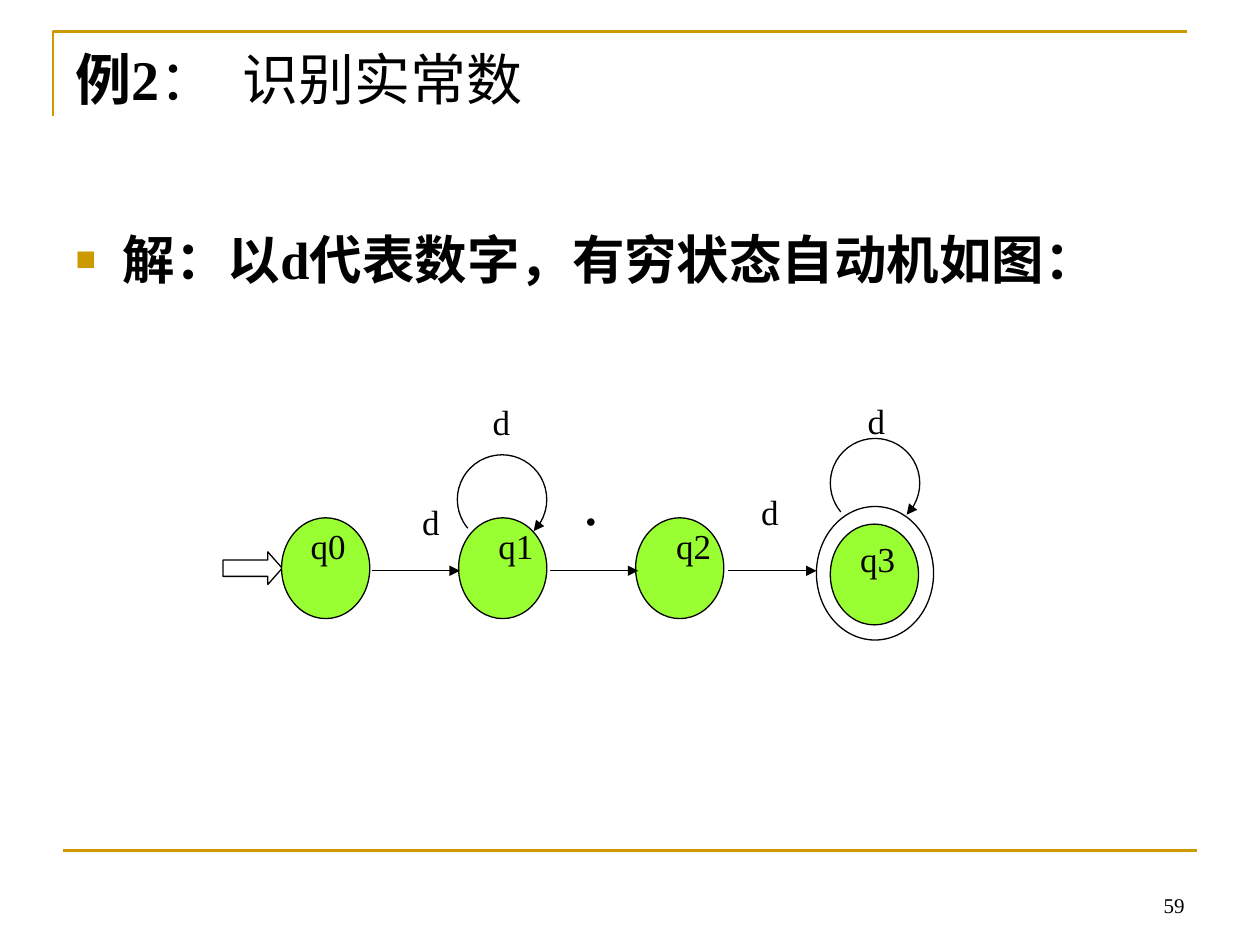
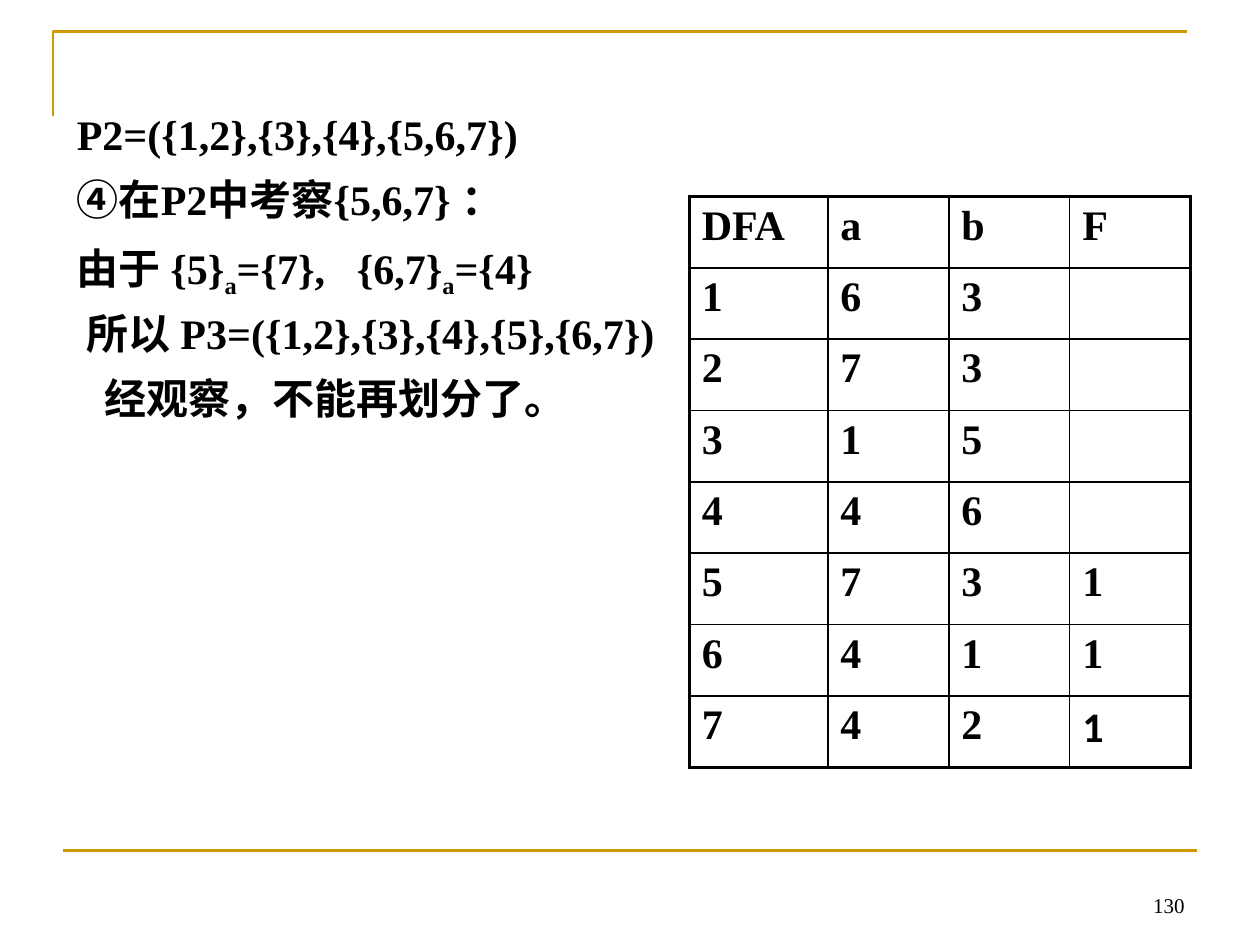
import dataclasses

import pptx
import pptx.dml.color
import pptx.enum.shapes
import pptx.enum.text
import pptx.oxml
import pptx.oxml.ns
import pptx.util

COLORS = {"ink": "000000", "gold": "CC9900", "state": "99FF33", "paper": "FFFFFF"}
FONT = "Times New Roman"
SHAPE = pptx.enum.shapes.MSO_SHAPE
ALIGN = pptx.enum.text.PP_ALIGN
ANCHOR = pptx.enum.text.MSO_ANCHOR
SLIDE_WIDTH = pptx.util.Inches(10)
SLIDE_HEIGHT = pptx.util.Inches(7.5)
SLIDE_COLUMNS, SLIDE_ROWS = 100, 75
UNIT = SLIDE_WIDTH // SLIDE_COLUMNS


@dataclasses.dataclass
class Box:
    left: float
    top: float
    width: float
    height: float

    def inner(self, left, top, width, height):
        return Box(self.left + left, self.top + top, width, height)

    def lengths(self):
        return [cells(value) for value in (self.left, self.top, self.width, self.height)]


PAGE = Box(0, 0, SLIDE_COLUMNS, SLIDE_ROWS)
TITLE_BOX = PAGE.inner(5, 3, 89.1, 10.1)
BODY_BOX = PAGE.inner(5, 17.5, 90, 49.5)
AUTOMATON_BOX = PAGE.inner(17.7, 31.2, 56.4, 20)
PARTITION_BOX = PAGE.inner(5.1, 8.6, 90, 60.3)
TABLE_BOX = PAGE.inner(54.7, 15.6, 39.8, 45.3)

TRANSITIONS = [
    ("DFA", "a", "b", "F"),
    ("1", "6", "3", ""),
    ("2", "7", "3", ""),
    ("3", "1", "5", ""),
    ("4", "4", "6", ""),
    ("5", "7", "3", "1"),
    ("6", "4", "1", "1"),
    ("7", "4", "2", "1"),
]
PARTITION_STEPS = [
    (0, ["P2=({1,2},{3},{4},{5,6,7})"]),
    (0, ["④在P2中考察{5,6,7} ："]),
    (0, ["由于 {5}", "a", "={7},", " ", "{6,7}", "a", "={4}"]),
    (0.8, ["所以 P3=({1,2},{3},{4},{5},{6,7})"]),
    (2.2, ["经观察，不能再划分了。"]),
]
LABELS = [
    ("q0", 8.35, 9.9, 20), ("q1", 23.25, 9.9, 20), ("q2", 37.35, 9.9, 20),
    ("q3", 51.95, 11, 20), ("d", 22.1, 0.1, 20), ("d", 51.85, 0, 20),
    ("d", 16.5, 8, 20), ("●", 29.2, 8.8, 10), ("d", 43.4, 7.2, 20),
]
LOOP_START, LOOP_END = 140, 45


def cells(count):
    return round(count * UNIT)


def color(name):
    return pptx.dml.color.RGBColor.from_string(COLORS[name])


def append_xml(parent, tag, content="", **attributes):
    listed = " ".join(f'{key}="{value}"' for key, value in attributes.items())
    namespace = pptx.oxml.ns.nsdecls("a")
    element = pptx.oxml.parse_xml(f"<a:{tag} {namespace} {listed}>{content}</a:{tag}>")
    parent.append(element)
    return element


def format_run(run, size, bold=False, name=FONT):
    run.font.name = name
    run.font.size = pptx.util.Pt(size)
    run.font.bold = bold
    run.font.color.rgb = color("ink")


def add_run(paragraph, text, size, bold, gap):
    run = paragraph.add_run()
    run.text = text
    format_run(run, size, bold)
    if text == " ":
        run._r.get_or_add_rPr().set("spc", str(gap * 100))
    return run


def set_indent(paragraph, left, first=0):
    properties = paragraph._p.get_or_add_pPr()
    properties.set("marL", str(cells(left)))
    properties.set("indent", str(cells(first)))
    return properties


def set_line(line, name="ink", width=0.75):
    line.color.rgb = color(name)
    line.width = pptx.util.Pt(width)


def add_outline(slide, kind, box, fill=None):
    shape = slide.shapes.add_shape(kind, *box.lengths())
    shape.shadow.inherit = False
    if fill:
        shape.fill.solid()
        shape.fill.fore_color.rgb = color(fill)
    else:
        shape.fill.background()
    set_line(shape.line)
    return shape


def add_line(slide, start, end, name="ink", width=0.75, arrow=False):
    connector = slide.shapes.add_connector(
        pptx.enum.shapes.MSO_CONNECTOR.STRAIGHT, *map(cells, (*start, *end)))
    set_line(connector.line, name, width)
    if arrow:
        add_arrowhead(connector)
    append_xml(connector._element.spPr, "effectLst")


def add_arrowhead(shape):
    append_xml(shape.line._get_or_add_ln(), "tailEnd", type="triangle")


def add_label(slide, box, text, size, alignment=ALIGN.CENTER, anchor=ANCHOR.TOP):
    text_frame = slide.shapes.add_textbox(*box.lengths()).text_frame
    text_frame.word_wrap = True
    text_frame.vertical_anchor = anchor
    text_frame.text = text
    paragraph = text_frame.paragraphs[0]
    paragraph.alignment = alignment
    format_run(paragraph.runs[0], size)


def place_placeholder(placeholder, box):
    placeholder.left, placeholder.top, placeholder.width, placeholder.height = box.lengths()
    text_frame = placeholder.text_frame
    text_frame.auto_size = pptx.enum.text.MSO_AUTO_SIZE.NONE
    text_frame.vertical_anchor = ANCHOR.TOP
    return text_frame


def add_framed_slide(presentation, number):
    slide = presentation.slides.add_slide(presentation.slide_layouts[1])
    builder = slide.shapes.build_freeform(cells(4.2), cells(9.2))
    builder.add_line_segments([(cells(4.2), cells(2.5)), (cells(94.2), cells(2.5))], close=False)
    corner = builder.convert_to_shape()
    corner.shadow.inherit = False
    corner.fill.background()
    set_line(corner.line, "gold", 1.5)
    add_line(slide, (5, 67.5), (95, 67.5), "gold", 1.5)
    add_label(slide, PAGE.inner(71.7, 68.3, 23.3, 5), number, 12, ALIGN.RIGHT, ANCHOR.BOTTOM)
    return slide


def fill_title(slide, box):
    paragraph = place_placeholder(slide.shapes.title, box).paragraphs[0]
    paragraph.alignment = ALIGN.LEFT
    for text, bold in (("例2", True), ("：", False), (" ", False), ("识别实常数", False)):
        add_run(paragraph, text, 32, bold, gap=8)


def fill_bullet(slide, box):
    text_frame = place_placeholder(slide.placeholders[1], box)
    text_frame.text = "解：以d代表数字，有穷状态自动机如图："
    paragraph = text_frame.paragraphs[0]
    properties = set_indent(paragraph, 3.75, -3.75)
    append_xml(properties, "buClr", f'<a:srgbClr val="{COLORS["gold"]}"/>')
    append_xml(properties, "buSzPct", val=65000)
    append_xml(properties, "buChar", char="■")
    paragraph.space_before = pptx.util.Pt(0)
    format_run(paragraph.runs[0], 30, True)


def add_loop(slide, box):
    arc = add_outline(slide, SHAPE.ARC, box)
    for index, degrees in enumerate((LOOP_START, LOOP_END)):
        arc.adjustments[index] = degrees * 0.6
    add_arrowhead(arc)


def draw_automaton(slide, box):
    start = add_outline(slide, SHAPE.RIGHT_ARROW, box.inner(0, 12.6, 4.7, 2.6), "paper")
    start.adjustments[1] = 0.44
    add_outline(slide, SHAPE.OVAL, box.inner(47.1, 9, 9.3, 10.6), "paper")
    states = [(4.65 + 14.05 * index, 9.9) for index in range(3)] + [(48.2, 10.4)]
    for left, top in states:
        add_outline(slide, SHAPE.OVAL, box.inner(left, top, 7, 8), "state")
    for index in range(3):
        arrow = box.inner(11.8 + 14.15 * index, 14.1, 7, 0)
        add_line(slide, (arrow.left, arrow.top), (arrow.left + arrow.width, arrow.top), arrow=True)
    for left, top in ((18.6, 4.9), (48.2, 3.6)):
        add_loop(slide, box.inner(left, top, 7.1, 7.1))
    for text, center, top, size in LABELS:
        add_label(slide, box.inner(center - 4.5, top, 9, 4.5), text, size)


def fill_partition(slide, box):
    text_frame = place_placeholder(slide.placeholders[1], box)
    for index, (indent, pieces) in enumerate(PARTITION_STEPS):
        paragraph = text_frame.add_paragraph() if index else text_frame.paragraphs[0]
        append_xml(set_indent(paragraph, indent), "buNone")
        paragraph.line_spacing = 0.9
        paragraph.space_before = pptx.util.Pt(4.8 if index else 0)
        paragraph.space_after = pptx.util.Pt(6)
        for piece in pieces:
            run = add_run(paragraph, piece, 24, True, gap=12)
            if piece == "a":
                run._r.get_or_add_rPr().set("baseline", "-25000")


def set_borders(cell, outer_sides):
    properties = cell._tc.get_or_add_tcPr()
    for side in "LRTB":
        width = pptx.util.Pt(2.25 if side in outer_sides else 1)
        fill = f'<a:solidFill><a:srgbClr val="{COLORS["ink"]}"/></a:solidFill>'
        append_xml(properties, f"ln{side}", fill, w=int(width))


def add_transition_table(slide, box):
    row_count, column_count = len(TRANSITIONS), len(TRANSITIONS[0])
    table = slide.shapes.add_table(row_count, column_count, *box.lengths()).table
    table.first_row = table.horz_banding = False
    for column, width in zip(table.columns, (11, 9.6, 9.6, 9.6)):
        column.width = cells(width)
    for row, values in enumerate(TRANSITIONS):
        table.rows[row].height = cells(box.height / row_count)
        for column, value in enumerate(values):
            cell = table.cell(row, column)
            edges = {"L": column == 0, "R": column == column_count - 1,
                     "T": row == 0, "B": row == row_count - 1}
            set_borders(cell, [side for side, outer in edges.items() if outer])
            cell.fill.background()
            cell.text_frame.text = value
            for run in cell.text_frame.paragraphs[0].runs:
                format_run(run, 24, True, "Calibri" if edges["R"] and edges["B"] else FONT)


def build_automaton_slide(presentation):
    slide = add_framed_slide(presentation, "59")
    fill_title(slide, TITLE_BOX)
    fill_bullet(slide, BODY_BOX)
    draw_automaton(slide, AUTOMATON_BOX)


def build_partition_slide(presentation):
    slide = add_framed_slide(presentation, "130")
    title = slide.shapes.title._element
    title.getparent().remove(title)
    fill_partition(slide, PARTITION_BOX)
    add_transition_table(slide, TABLE_BOX)


def main():
    presentation = pptx.Presentation()
    presentation.slide_width = SLIDE_WIDTH
    presentation.slide_height = SLIDE_HEIGHT
    build_automaton_slide(presentation)
    build_partition_slide(presentation)
    presentation.save("out.pptx")


if __name__ == "__main__":
    main()
